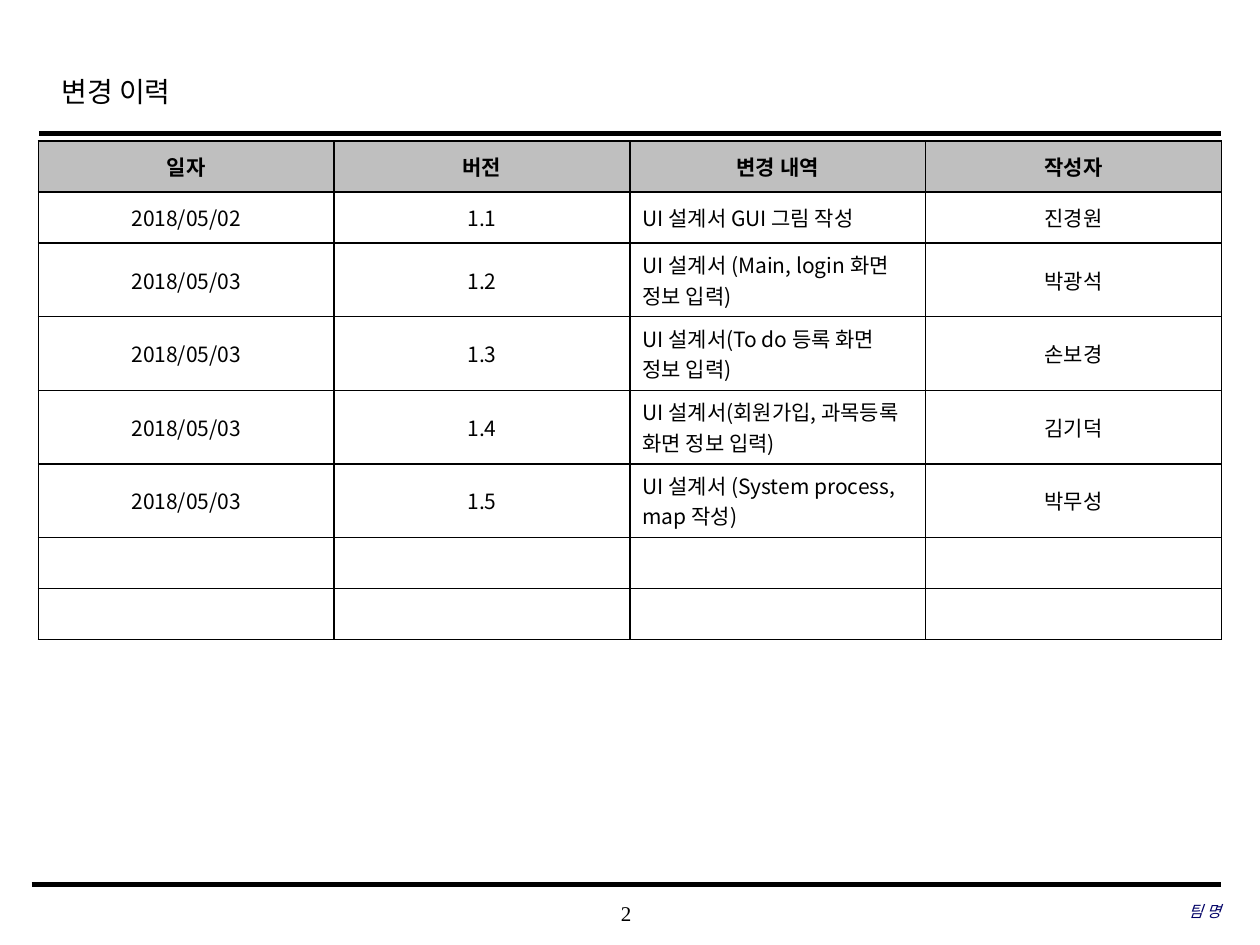
"""Build the revision history slide with its ruled header, table and footer."""
from dataclasses import dataclass
from typing import Any

from lxml import etree
from pptx import Presentation
from pptx import util as u
from pptx.dml.color import RGBColor
from pptx.enum import shapes, text
from pptx.oxml import ns

COLORS = {"ink": "000000", "team": "000066", "header": "BFBFBF", "paper": "FFFFFF"}
SANS, SERIF = "Noto Sans CJK KR", "Times New Roman"
LEFT, CENTER, RIGHT = text.PP_ALIGN.LEFT, text.PP_ALIGN.CENTER, text.PP_ALIGN.RIGHT
TOP, MIDDLE = text.MSO_ANCHOR.TOP, text.MSO_ANCHOR.MIDDLE
WIDTH, HEIGHT = u.Inches(10), u.Inches(7.5)
GRID_COLUMNS, GRID_ROWS = 100, 75
TABLE_LEFT, TABLE_TOP, COLUMN_WIDTH = 3.05, 11.2, 23.47
SHORT_ROW, TALL_ROW = 4.05, 5.84
HEADINGS = ("일자", "버전", "변경 내역", "작성자")
REVISIONS = (
    ("2018/05/02", "1.1", "UI 설계서 GUI 그림 작성", "진경원"),
    ("2018/05/03", "1.2", "UI 설계서 (Main, login 화면 정보 입력)", "박광석"),
    ("2018/05/03", "1.3", "UI 설계서(To do 등록 화면 정보 입력)", "손보경"),
    ("2018/05/03", "1.4", "UI 설계서(회원가입, 과목등록 화면 정보 입력)", "김기덕"),
    ("2018/05/03", "1.5", "UI 설계서 (System process, map 작성)", "박무성"),
)
BLANK_ROWS = (("",) * len(HEADINGS),) * 2
ROW_HEIGHTS = (SHORT_ROW,) * 2 + (TALL_ROW,) * 4 + (SHORT_ROW,) * 2


@dataclass(frozen=True)
class Style:
    size: float
    font: str = SANS
    color: str = "ink"
    bold: bool = False
    italic: bool = False
    align: Any = CENTER


@dataclass(frozen=True)
class Label:
    words: str
    column: float
    row: float
    columns: float
    rows: float
    style: Style
    anchor: Any = MIDDLE
    inset: tuple[float, float] = (0, 0)
    spacing: float = 1.0


@dataclass(frozen=True)
class Rule:
    start: float
    end: float
    row: float
    weight: float


LABELS = (
    Label("변경 이력", 3.9, 4.9, 75.5, 5, Style(16, SERIF, align=LEFT),
          TOP, (0.1, 0.05), 1.2),
    Label("2", 39.3, 70.8, 20.8, 3.3, Style(12, SERIF)),
    Label("팀 명", 66.3, 70.7, 30.6, 3.3,
          Style(9, SERIF, "team", italic=True, align=RIGHT)),
)
RULES = (Rule(3.1, 96.9, 10.6, 2.5), Rule(2.5, 96.9, 70.2, 3))


def across(columns: float) -> int:
    return round(WIDTH * columns / GRID_COLUMNS)


def down(rows: float) -> int:
    return round(HEIGHT * rows / GRID_ROWS)


def rgb(name: str) -> RGBColor:
    return RGBColor.from_string(COLORS[name])


def write(para: Any, words: str, style: Style) -> None:
    para.alignment = style.align
    if not words:
        etree.SubElement(para._p, ns.qn("a:endParaRPr"), sz=str(int(style.size * 100)))
        return
    span = para.add_run()
    span.text = words
    font = span.font
    font.name, font.size = style.font, u.Pt(style.size)
    font.bold, font.italic = style.bold, style.italic
    font.color.rgb = rgb(style.color)
    latin = font._element.find(ns.qn("a:latin"))
    east_asian = etree.Element(ns.qn("a:ea"), typeface=SANS)
    latin.addnext(east_asian)


def draw_label(page: Any, label: Label) -> None:
    box = page.shapes.add_textbox(across(label.column), down(label.row),
                                  across(label.columns), down(label.rows))
    frame = box.text_frame
    frame.word_wrap, frame.vertical_anchor = True, label.anchor
    side, edge = map(u.Inches, label.inset)
    frame.margin_left = frame.margin_right = side
    frame.margin_top = frame.margin_bottom = edge
    para = frame.paragraphs[0]
    para.line_spacing = label.spacing
    write(para, label.words, label.style)


def draw_rule(page: Any, rule: Rule) -> None:
    line = page.shapes.add_connector(shapes.MSO_CONNECTOR.STRAIGHT,
                                     across(rule.start), down(rule.row),
                                     across(rule.end), down(rule.row))
    line.line.color.rgb = rgb("ink")
    line.line.width = u.Pt(rule.weight)
    etree.SubElement(line._element.spPr, ns.qn("a:effectLst"))


def outline(cell: Any) -> None:
    properties = cell._tc.get_or_add_tcPr()
    for position, side in enumerate(("lnL", "lnR", "lnT", "lnB")):
        border = etree.Element(ns.qn(f"a:{side}"), w=str(u.Pt(1)))
        fill = etree.SubElement(border, ns.qn("a:solidFill"))
        etree.SubElement(fill, ns.qn("a:srgbClr"), val=COLORS["ink"])
        properties.insert(position, border)


def draw_table(page: Any) -> None:
    records = (HEADINGS, *REVISIONS, *BLANK_ROWS)
    table = page.shapes.add_table(
        len(records), len(HEADINGS), across(TABLE_LEFT), down(TABLE_TOP),
        across(COLUMN_WIDTH * len(HEADINGS)), down(sum(ROW_HEIGHTS))).table
    table.horz_banding = False
    for column in table.columns:
        column.width = across(COLUMN_WIDTH)
    for row, record in enumerate(records):
        table.rows[row].height = down(ROW_HEIGHTS[row])
        for column, words in enumerate(record):
            cell = table.cell(row, column)
            cell.vertical_anchor = MIDDLE
            cell.fill.solid()
            cell.fill.fore_color.rgb = rgb("paper" if row else "header")
            outline(cell)
            align = LEFT if row and column == 2 else CENTER
            write(cell.text_frame.paragraphs[0], words,
                  Style(12, bold=row == 0, align=align))


def main() -> None:
    deck = Presentation()
    deck.slide_width, deck.slide_height = WIDTH, HEIGHT
    page = deck.slides.add_slide(deck.slide_layouts[6])
    for rule in RULES:
        draw_rule(page, rule)
    for label in LABELS:
        draw_label(page, label)
    draw_table(page)
    deck.save("out.pptx")


if __name__ == "__main__":
    main()
